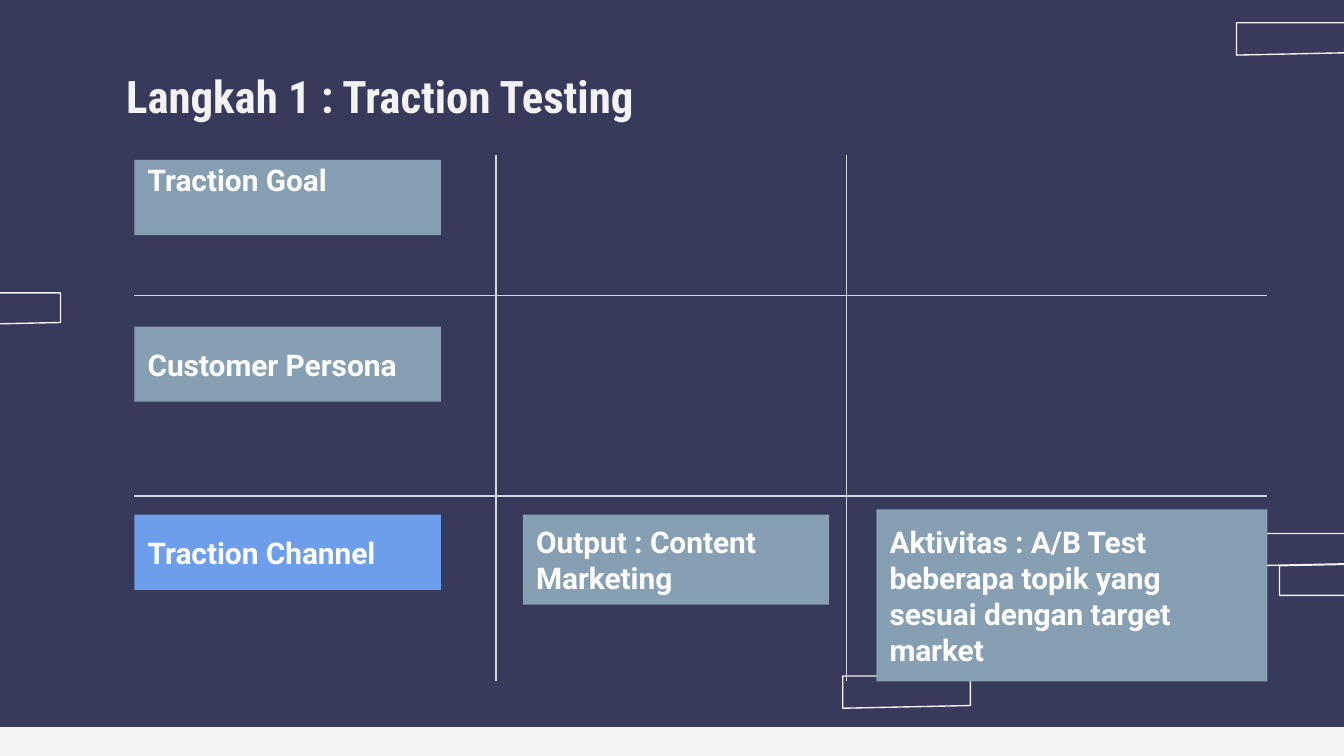
"""Builds the traction testing slide: a three-column grid with labelled boxes."""
import lxml.etree
import pptx
import pptx.dml.color
import pptx.enum.shapes
import pptx.enum.text
import pptx.oxml.ns
import pptx.util

Inches = pptx.util.Inches
ANCHOR = pptx.enum.text.MSO_ANCHOR

COLORS = {"background": "373A5A", "light": "F3F3F3", "box": "869FB2",
          "channel": "6D9EEB", "text": "FFFFFF", "grid": "CFD9E0"}

TITLE = "Langkah 1 : Traction Testing"
LEFT, RIGHT, TOP, BOTTOM = 1, 9.43, 1.15, 5.07
COLUMN_LINES = [3.69, 6.3]
ROW_LINES = [2.2, 3.69]
BOXES = [
    ("Traction Goal", (LEFT, 1.19, 2.28, 0.56), "box", {"anchor": ANCHOR.TOP, "top": 0.01}),
    ("Customer Persona", (LEFT, 2.43, 2.28, 0.56), "box", {}),
    ("Traction Channel", (LEFT, 3.83, 2.28, 0.56), "channel", {}),
    ("Output : Content Marketing", (3.89, 3.83, 2.28, 0.67), "box", {}),
    ("Aktivitas : A/B Test beberapa topik yang sesuai dengan target market",
     (6.52, 3.79, 2.91, 1.28), "box", {}),
]
ORNAMENT_W, ORNAMENT_H, SLANT = 0.95, 0.24, 0.02
ORNAMENTS = [(6.27, 5.03, False), (9.52, 4.19, True), (9.3, 3.97, False),
             (-0.5, 2.18, False), (9.2, 0.17, False)]


def rgb(name):
    return pptx.dml.color.RGBColor.from_string(COLORS[name])


def set_text(sp, text, size=16, font="Roboto", color="text", anchor=ANCHOR.MIDDLE, top=0.1):
    tf = sp.text_frame
    tf.word_wrap = True
    tf.vertical_anchor = anchor
    tf.margin_left = tf.margin_right = tf.margin_bottom = Inches(0.1)
    tf.margin_top = Inches(top)
    p = tf.paragraphs[0]
    p.alignment = pptx.enum.text.PP_ALIGN.LEFT
    r = p.add_run()
    r.text = text
    r.font.size = pptx.util.Pt(size)
    r.font.name = font
    r.font.bold = True
    r.font.color.rgb = rgb(color)


def add_rect(s, place, color):
    sp = s.shapes.add_shape(pptx.enum.shapes.MSO_SHAPE.RECTANGLE, *map(Inches, place))
    sp.shadow.inherit = False
    sp.fill.solid()
    sp.fill.fore_color.rgb = rgb(color)
    sp.line.fill.background()
    return sp


def add_line(s, x1, y1, x2, y2):
    line = s.shapes.add_connector(pptx.enum.shapes.MSO_CONNECTOR.STRAIGHT,
                                  *map(Inches, (x1, y1, x2, y2)))
    line.line.color.rgb = rgb("grid")
    line.line.width = pptx.util.Pt(0.75)
    lxml.etree.SubElement(line._element.spPr, pptx.oxml.ns.qn("a:effectLst"))


def add_ornament(s, left, top, turned):
    right, bottom = left + ORNAMENT_W, top + ORNAMENT_H
    if turned:
        points = [(right, top), (right, bottom), (left, bottom), (left, top + SLANT)]
    else:
        points = [(left, bottom), (left, top), (right, top), (right, bottom - SLANT)]
    points = [(Inches(x), Inches(y)) for x, y in points]
    builder = s.shapes.build_freeform(*points[0])
    builder.add_line_segments(points[1:], close=True)
    sp = builder.convert_to_shape()
    sp.shadow.inherit = False
    sp.fill.background()
    sp.line.color.rgb = rgb("light")
    sp.line.width = pptx.util.Pt(0.75)


def main():
    prs = pptx.Presentation()
    prs.slide_width = Inches(10)
    prs.slide_height = prs.slide_width * 9 // 16
    s = prs.slides.add_slide(prs.slide_layouts[6])
    s.background.fill.solid()
    s.background.fill.fore_color.rgb = rgb("background")

    for ornament in ORNAMENTS:
        add_ornament(s, *ornament)
    add_rect(s, (0, 5.41, 10, 0.22), "light")

    title = s.shapes.add_textbox(*map(Inches, (0.84, 0.41, 6.99, 0.63)))
    set_text(title, TITLE, size=24, font="Roboto Condensed", color="light", anchor=ANCHOR.TOP)

    for x in COLUMN_LINES:
        add_line(s, x, TOP, x, BOTTOM)
    for y in ROW_LINES:
        add_line(s, LEFT, y, RIGHT, y)
    for text, place, color, style in BOXES:
        set_text(add_rect(s, place, color), text, **style)

    prs.save("out.pptx")


if __name__ == "__main__":
    main()
